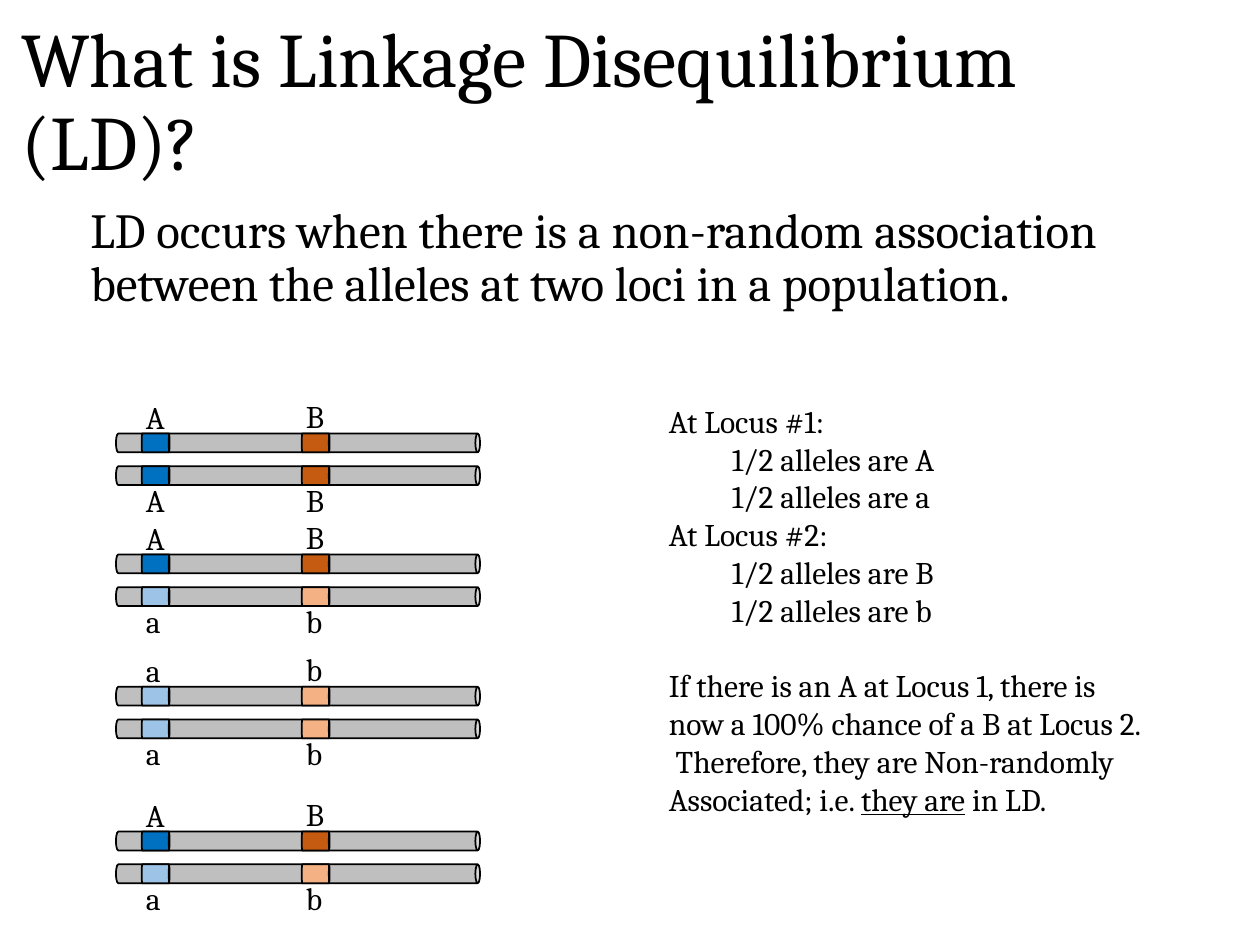
"""Build a slide that explains linkage disequilibrium with four pairs of chromosomes."""
from dataclasses import dataclass
from typing import Any

import pptx
import pptx.dml.color
import pptx.enum.shapes
import pptx.enum.text
import pptx.util


@dataclass(frozen=True)
class Theme:
    font: str = "Cambria"
    ink: str = "000000"
    rod: str = "BFBFBF"
    title_size: float = 44
    body_size: float = 28
    note_size: float = 18
    line_width: float = 1


@dataclass(frozen=True)
class Box:
    left: float
    top: float
    width: float
    height: float

    def lengths(self) -> list[int]:
        return [pptx.util.Inches(value) for value in (self.left, self.top, self.width, self.height)]


@dataclass(frozen=True)
class Locus:
    center: float
    label_rise: float


@dataclass(frozen=True)
class ChromosomePair:
    center: float
    upper: str
    lower: str


@dataclass(frozen=True)
class Line:
    runs: tuple[str, ...]
    space_before: float = 0


THEME = Theme()
ALLELE_COLORS = {"A": "0070C0", "a": "9DC3E6", "B": "C55A11", "b": "F4B183"}
LOCI = (Locus(1.235, 0.405), Locus(2.505, 0.415))
PAIRS = (
    ChromosomePair(3.515, "AB", "AB"),
    ChromosomePair(4.475, "AB", "ab"),
    ChromosomePair(5.525, "ab", "ab"),
    ChromosomePair(6.675, "AB", "ab"),
)
ROD_CENTER, ROD_LENGTH, ROD_THICKNESS = 2.365, 2.89, 0.15
BAND_LENGTH, BAND_ADJUSTMENT = 0.22, 0.036
ROD_GAP, LABEL_DROP = 0.26, 0.255
LABEL_WIDTH, LABEL_HEIGHT, LABEL_SHIFT = 0.22, 0.4, 0.175
NOTES = (
    Line(("At Locus #1:",)),
    Line(("\t1/2 alleles are A",)),
    Line(("\t1/2 alleles are a",)),
    Line(("At Locus #2:",)),
    Line(("\t1/2 alleles are B",)),
    Line(("\t1/2 alleles are b",)),
    Line((
        "If there is an A at Locus 1, there is now a 100% chance of a B at Locus 2.  "
        "Therefore, they are Non-randomly Associated; i.e. ",
        "they are",
        " in LD.",
    ), space_before=21.6),
)


def color(value: str) -> pptx.dml.color.RGBColor:
    return pptx.dml.color.RGBColor.from_string(value)


def apply_format(target: Any, values: dict[str, Any]) -> None:
    for name, value in values.items():
        setattr(target, name, value)


def add_text(shapes: Any, box: Box, lines: tuple[Line, ...], size: float,
             frame_format: dict[str, Any] | None = None,
             paragraph_format: dict[str, Any] | None = None) -> None:
    frame = shapes.add_textbox(*box.lengths()).text_frame
    apply_format(frame, {"word_wrap": True, **(frame_format or {})})
    for index, line in enumerate(lines):
        paragraph = frame.add_paragraph() if index else frame.paragraphs[0]
        apply_format(paragraph, {"space_before": pptx.util.Pt(line.space_before),
                                 **(paragraph_format or {})})
        for position, text in enumerate(line.runs):
            run = paragraph.add_run()
            run.text = text
            apply_format(run.font, {"name": THEME.font, "size": pptx.util.Pt(size),
                                    "underline": position == 1})
            run.font.color.rgb = color(THEME.ink)


def add_cylinder(shapes: Any, center_x: float, center_y: float, length: float,
                 fill: str, adjustment: float = 0.25) -> None:
    box = Box(center_x - ROD_THICKNESS / 2, center_y - length / 2, ROD_THICKNESS, length)
    shape = shapes.add_shape(pptx.enum.shapes.MSO_SHAPE.CAN, *box.lengths())
    shape.rotation = 90
    shape.adjustments[0] = adjustment
    shape.shadow.inherit = False
    shape.fill.solid()
    shape.fill.fore_color.rgb = color(fill)
    shape.line.color.rgb = color(THEME.ink)
    shape.line.width = pptx.util.Pt(THEME.line_width)


def add_pair(slide: Any, pair: ChromosomePair) -> None:
    shapes = slide.shapes.add_group_shape().shapes
    for row, alleles in enumerate((pair.upper, pair.lower)):
        center_y = pair.center + row * ROD_GAP
        add_cylinder(shapes, ROD_CENTER, center_y, ROD_LENGTH, THEME.rod)
        for locus, allele in zip(LOCI, alleles):
            add_cylinder(shapes, locus.center, center_y, BAND_LENGTH,
                         ALLELE_COLORS[allele], BAND_ADJUSTMENT)
            label_top = pair.center + (LABEL_DROP if row else -locus.label_rise)
            label_box = Box(locus.center - LABEL_SHIFT, label_top, LABEL_WIDTH, LABEL_HEIGHT)
            add_text(shapes, label_box, (Line((allele,)),), THEME.note_size)


def build() -> None:
    presentation = pptx.Presentation()
    apply_format(presentation, {"slide_width": pptx.util.Inches(10),
                                "slide_height": pptx.util.Inches(7.5)})
    slide = presentation.slides.add_slide(presentation.slide_layouts[6])
    tight = {"line_spacing": 0.9}
    add_text(slide.shapes, Box(0.07, 0.1, 9.24, 1.45),
             (Line(("What is Linkage Disequilibrium (LD)?",)),), THEME.title_size,
             {"vertical_anchor": pptx.enum.text.MSO_ANCHOR.MIDDLE}, tight)
    add_text(slide.shapes, Box(0.62, 1.59, 8.93, 1.46),
             (Line(("LD occurs when there is a non-random association between "
                    "the alleles at two loci in a population.",), space_before=10),),
             THEME.body_size, paragraph_format=tight)
    for pair in PAIRS:
        add_pair(slide, pair)
    add_text(slide.shapes, Box(5.21, 3.14, 3.98, 3.74), NOTES, THEME.note_size)
    presentation.save("out.pptx")


build()
